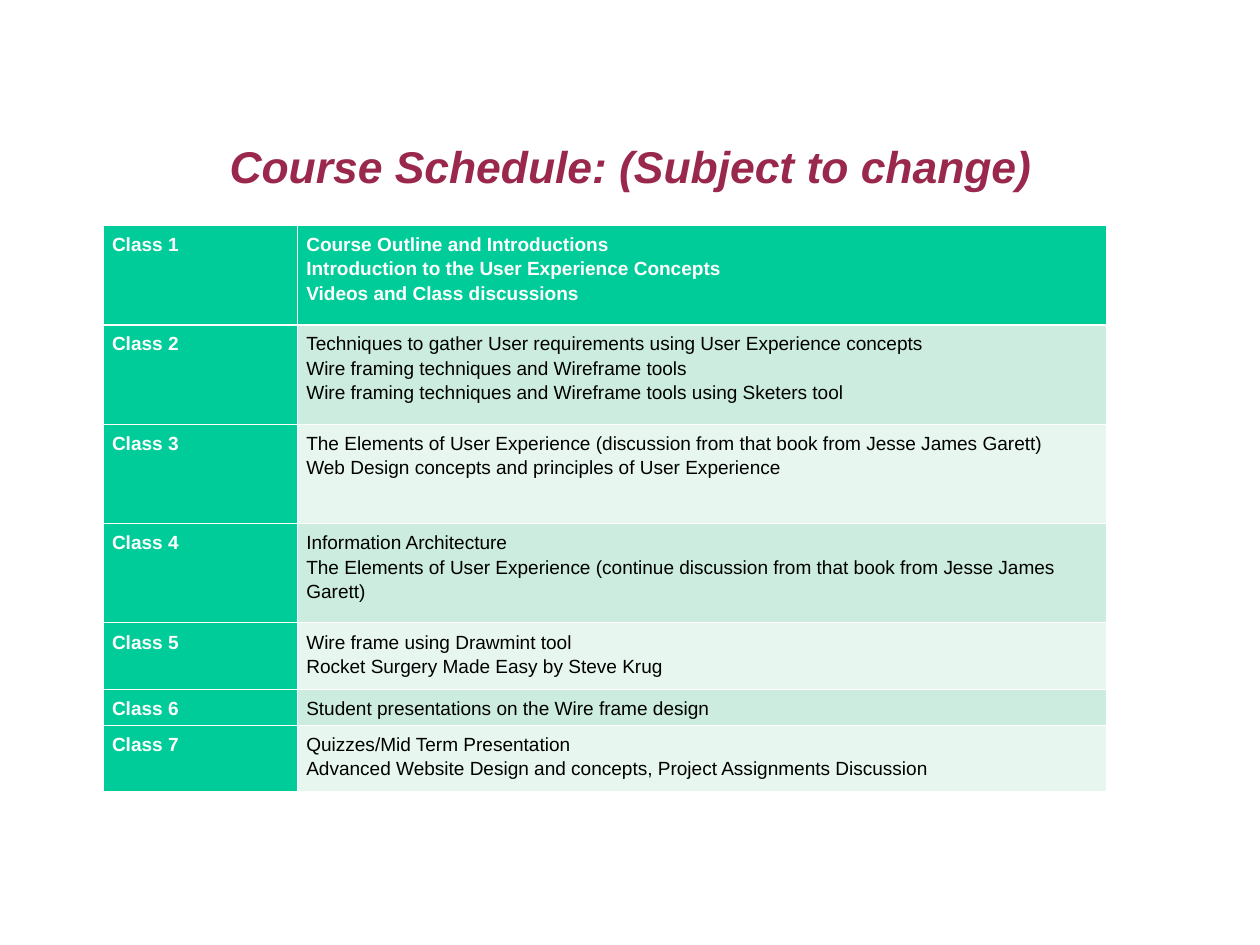
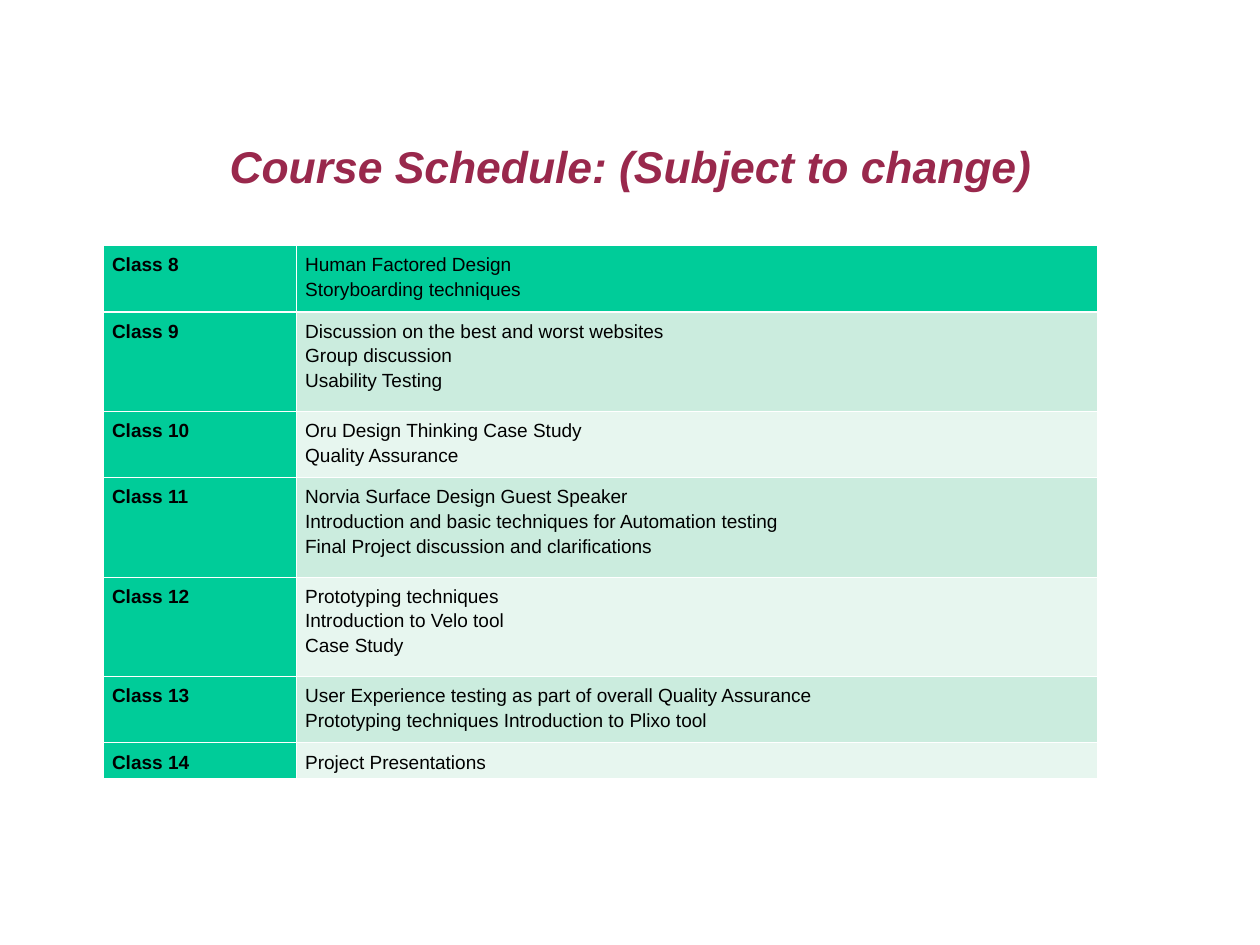
"""Build two course schedule slides, each with a title and a table of classes."""
from dataclasses import dataclass

from lxml import etree
from pptx import Presentation
from pptx import slide as sld, table as tbl, util as u
from pptx.dml import color
from pptx.enum import text
from pptx.oxml import ns

COLOURS = {
    "title": "99284C",
    "accent": "00CC99",
    "band_dark": "CBECDE",
    "band_light": "E7F6EF",
    "white": "FFFFFF",
    "black": "000000",
}
FONT = "Arial"
TITLE = "Course Schedule: (Subject to change)"
TABLE_LEFT = 0.9
LINE_HEIGHT = 0.29
THIN, THICK = 0.45, 1.47


@dataclass(frozen=True)
class ClassRow:
    label: str
    topics: tuple[str, ...]
    lines: int


@dataclass(frozen=True)
class Schedule:
    top: float
    column_widths: tuple[float, float]
    label_colour: str
    first_topics_bold: bool
    rows: tuple[ClassRow, ...]


SCHEDULES = (
    Schedule(1.97, (1.7, 7.08), "white", True, (
        ClassRow("Class 1", ("Course Outline and Introductions",
                             "Introduction to the User Experience Concepts",
                             "Videos and Class discussions"), 3),
        ClassRow("Class 2", ("Techniques to gather User requirements using User Experience concepts",
                             "Wire framing techniques and Wireframe tools",
                             "Wire framing techniques and Wireframe tools using Sketers tool"), 3),
        ClassRow("Class 3", ("The Elements of User Experience (discussion from that book from Jesse James Garett)",
                             "Web Design concepts and principles of User Experience"), 3),
        ClassRow("Class 4", ("Information Architecture",
                             "The Elements of User Experience (continue discussion from that book "
                             "from Jesse James Garett)"), 3),
        ClassRow("Class 5", ("Wire frame using Drawmint tool",
                             "Rocket Surgery Made Easy by Steve Krug"), 2),
        ClassRow("Class 6", ("Student presentations on the Wire frame design",), 1),
        ClassRow("Class 7", ("Quizzes/Mid Term Presentation",
                             "Advanced Website Design and concepts, Project Assignments Discussion"), 2),
    )),
    Schedule(2.15, (1.69, 7.01), "black", False, (
        ClassRow("Class 8", ("Human Factored Design", "Storyboarding techniques"), 2),
        ClassRow("Class 9", ("Discussion on the best and worst websites",
                             "Group discussion",
                             "Usability Testing"), 3),
        ClassRow("Class 10", ("Oru Design Thinking Case Study", "Quality Assurance"), 2),
        ClassRow("Class 11", ("Norvia Surface Design Guest Speaker",
                              "Introduction and basic techniques for Automation testing",
                              "Final Project discussion and clarifications"), 3),
        ClassRow("Class 12", ("Prototyping techniques", "Introduction to Velo tool", "Case Study"), 3),
        ClassRow("Class 13", ("User Experience testing as part of overall Quality Assurance",
                              "Prototyping techniques Introduction to Plixo tool"), 2),
        ClassRow("Class 14", ("Project Presentations",), 1),
    )),
)


def rgb(name: str) -> color.RGBColor:
    return color.RGBColor.from_string(COLOURS[name])


def add_run(paragraph, words: str, size: float, colour: str, bold: bool, italic: bool = False) -> None:
    run = paragraph.add_run()
    run.text = words
    font = run.font
    font.name, font.size, font.bold, font.italic = FONT, u.Pt(size), bold, italic
    font.color.rgb = rgb(colour)


def add_title(slide: sld.Slide) -> None:
    title = slide.shapes.title
    title.left, title.top = u.Inches(0.81), u.Inches(0.77)
    title.width, title.height = u.Inches(9.41), u.Inches(1.38)
    frame = title.text_frame
    frame.auto_size = text.MSO_AUTO_SIZE.NONE
    frame.word_wrap = True
    frame.vertical_anchor = text.MSO_ANCHOR.MIDDLE
    frame.margin_left = frame.margin_right = frame.margin_bottom = 0
    frame.margin_top = u.Inches(0.03)
    paragraph = frame.paragraphs[0]
    paragraph.alignment = text.PP_ALIGN.CENTER
    paragraph.line_spacing = 0.93
    add_run(paragraph, TITLE, 28, "title", True, True)


def set_borders(cell: tbl._Cell, row_index: int) -> None:
    properties = cell._tc.get_or_add_tcPr()
    widths = {
        "L": THIN,
        "R": THIN,
        "T": THICK if row_index == 1 else THIN,
        "B": THICK if row_index == 0 else THIN,
    }
    for side, width in widths.items():
        line = etree.SubElement(properties, ns.qn(f"a:ln{side}"), w=str(u.Pt(width)))
        fill = etree.SubElement(line, ns.qn("a:solidFill"))
        etree.SubElement(fill, ns.qn("a:srgbClr"), val=COLOURS["white"])


def fill_cell(cell: tbl._Cell, row_index: int, lines: tuple[str, ...],
              fill: str, colour: str, bold: bool) -> None:
    set_borders(cell, row_index)
    cell.fill.solid()
    cell.fill.fore_color.rgb = rgb(fill)
    cell.margin_left = cell.margin_right = u.Inches(0.08)
    cell.margin_top = cell.margin_bottom = u.Inches(0.05)
    frame = cell.text_frame
    for index, words in enumerate(lines):
        paragraph = frame.add_paragraph() if index else frame.paragraphs[0]
        paragraph.line_spacing = 1.15
        add_run(paragraph, words, 12, colour, bold)


def add_schedule(slide: sld.Slide, schedule: Schedule) -> None:
    heights = [row.lines * LINE_HEIGHT for row in schedule.rows]
    table = slide.shapes.add_table(
        len(heights), 2, u.Inches(TABLE_LEFT), u.Inches(schedule.top),
        u.Inches(sum(schedule.column_widths)), u.Inches(sum(heights))).table
    for column, width in zip(table.columns, schedule.column_widths):
        column.width = u.Inches(width)
    for index, row in enumerate(schedule.rows):
        table.rows[index].height = u.Inches(heights[index])
        fill_cell(table.cell(index, 0), index, (row.label,), "accent", schedule.label_colour, True)
        if index == 0:
            fill, colour, bold = "accent", schedule.label_colour, schedule.first_topics_bold
        else:
            fill, colour, bold = ("band_dark" if index % 2 else "band_light"), "black", False
        fill_cell(table.cell(index, 1), index, row.topics, fill, colour, bold)


def main() -> None:
    presentation = Presentation()
    presentation.slide_width, presentation.slide_height = u.Cm(28), u.Cm(21)
    title_only = presentation.slide_layouts[5]
    for schedule in SCHEDULES:
        slide = presentation.slides.add_slide(title_only)
        add_title(slide)
        add_schedule(slide, schedule)
    presentation.save("out.pptx")


if __name__ == "__main__":
    main()
